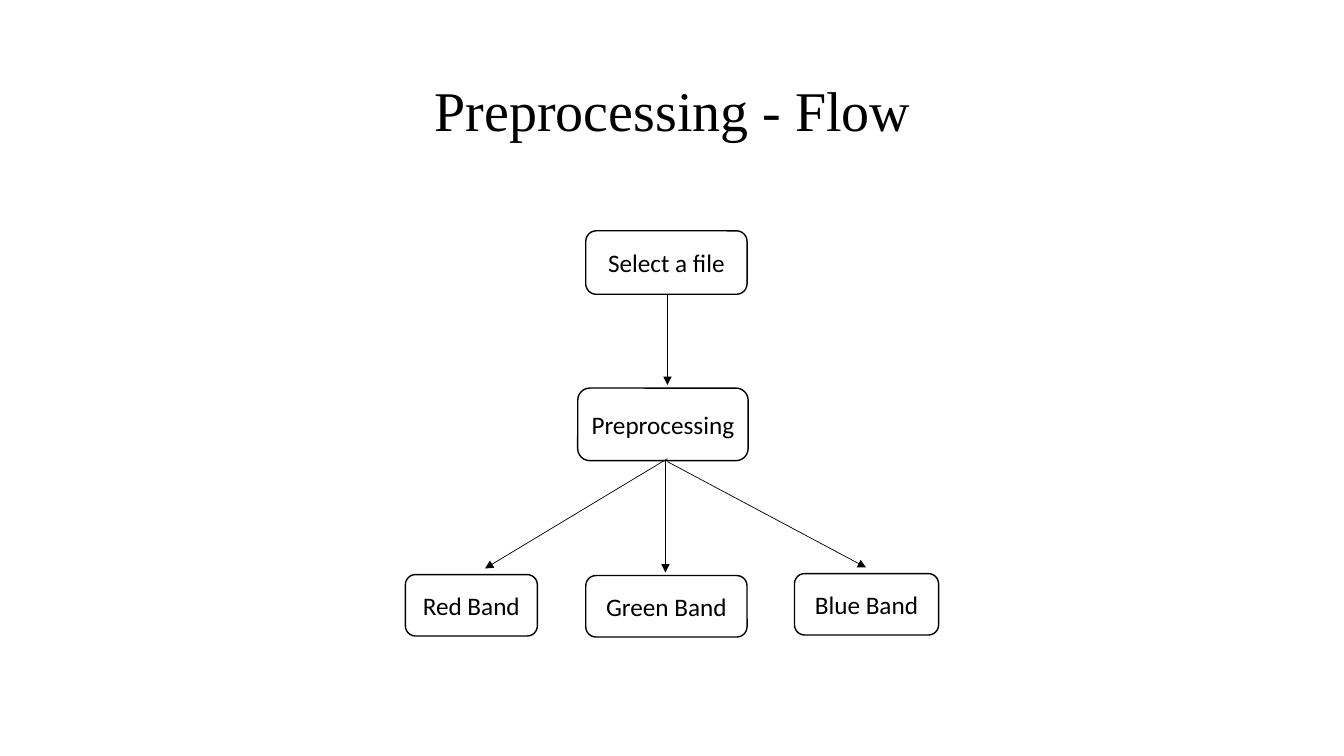
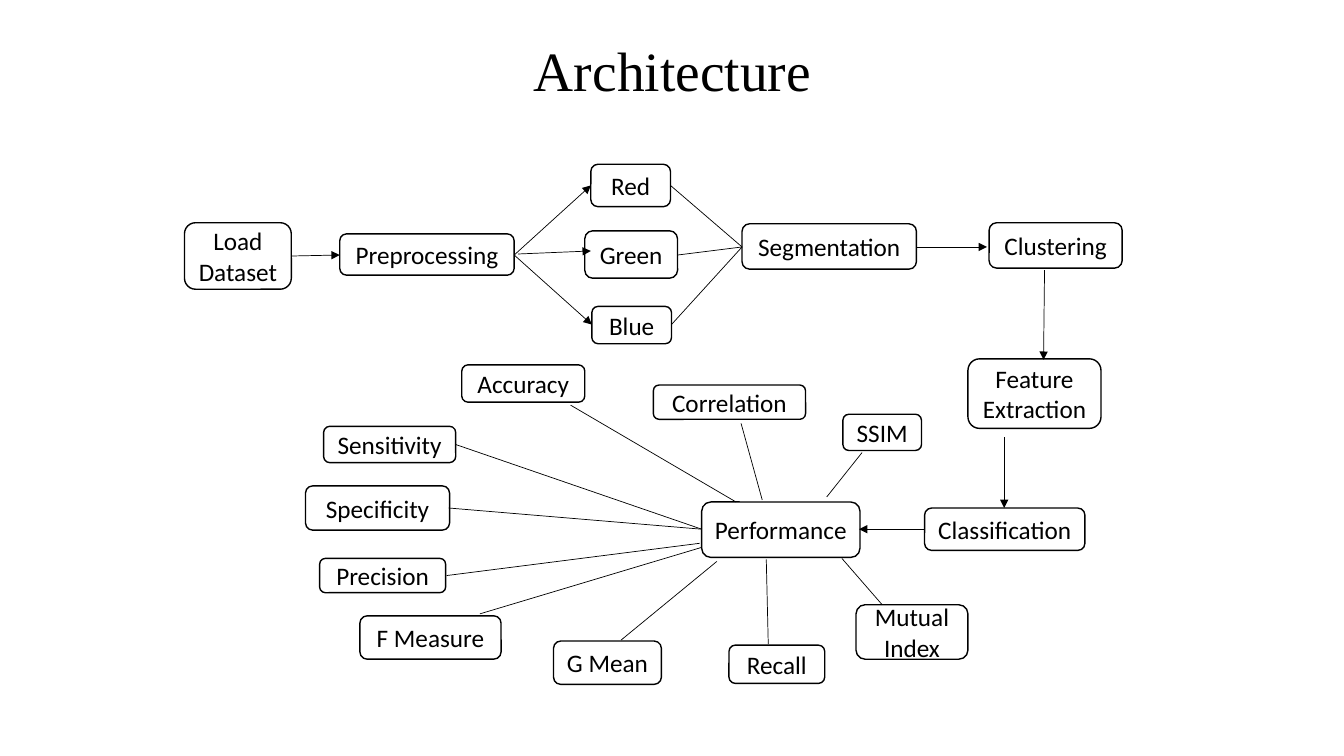
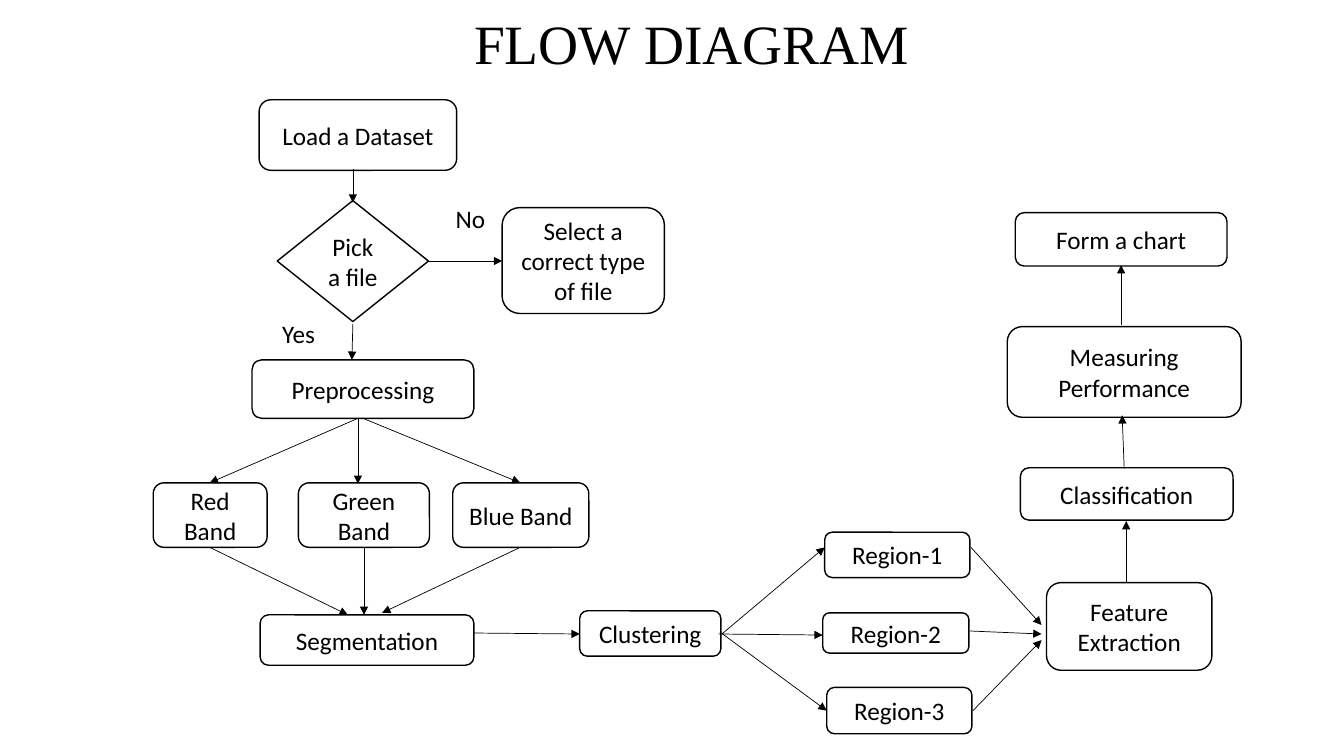
from lxml import etree
from pptx import Presentation
from pptx.dml.color import RGBColor
from pptx.enum.shapes import MSO_CONNECTOR, MSO_SHAPE
from pptx.enum.text import MSO_ANCHOR, MSO_AUTO_SIZE, PP_ALIGN
from pptx.oxml.ns import qn
from pptx.util import Inches, Pt

ROUNDED = MSO_SHAPE.ROUNDED_RECTANGLE
DIAMOND = MSO_SHAPE.DIAMOND
RECTANGLE = MSO_SHAPE.RECTANGLE
STRAIGHT = MSO_CONNECTOR.STRAIGHT
MIDDLE, TOP = MSO_ANCHOR.MIDDLE, MSO_ANCHOR.TOP
CENTER, LEFT = PP_ALIGN.CENTER, PP_ALIGN.LEFT
NO_AUTOFIT = MSO_AUTO_SIZE.NONE

BLACK, WHITE = "000000", "FFFFFF"
TITLE_FONT, BODY_FONT = "Times New Roman", "Calibri"
TITLE_LAYOUT = 5


def color(value):
    return RGBColor.from_string(value)


def write(frame, text, font, size, align, anchor):
    frame.auto_size = NO_AUTOFIT
    frame.vertical_anchor = anchor
    para = frame.paragraphs[0]
    para.alignment = align
    span = para.add_run()
    span.text = text
    span.font.name = font
    span.font.size = Pt(size)
    span.font.color.rgb = color(BLACK)


preprocessing = {
    "title": ("Preprocessing - Flow", 40, 0.92, 0.4, 1.45),
    "steps": [
        ("Select a file", 5.81, 2.29, 1.6, 0.63),
        ("Preprocessing", 5.73, 3.85, 1.69, 0.72),
        ("Red Band", 4.02, 5.7, 1.31, 0.61),
        ("Green Band", 5.81, 5.71, 1.6, 0.61),
        ("Blue Band", 7.88, 5.69, 1.43, 0.61),
    ],
    "arrows": [
        (6.62, 2.92, 6.62, 3.82),
        (6.62, 4.55, 4.81, 5.64),
        (6.6, 4.57, 6.6, 5.68),
        (6.62, 4.58, 8.59, 5.63),
    ],
    "links": [],
    "labels": [],
}

architecture = {
    "title": ("Architecture", 39.6, 0.92, 0.4, 0.66),
    "steps": [
        ("Load Dataset", 1.83, 2.21, 1.06, 0.66),
        ("Preprocessing", 3.37, 2.32, 1.73, 0.41),
        ("Red", 5.86, 1.63, 0.79, 0.42),
        ("Green", 5.8, 2.29, 0.92, 0.47),
        ("Blue", 5.87, 3.04, 0.79, 0.37),
        ("Segmentation", 7.36, 2.22, 1.73, 0.45),
        ("Clustering", 9.81, 2.21, 1.32, 0.45),
        ("Feature Extraction", 9.6, 3.56, 1.32, 0.69),
        ("Classification", 9.17, 5.04, 1.59, 0.42),
        ("Performance", 6.96, 4.98, 1.57, 0.55),
        ("Accuracy", 4.58, 3.62, 1.22, 0.37),
        ("Sensitivity", 3.21, 4.23, 1.31, 0.36),
        ("Specificity", 3.03, 4.82, 1.43, 0.44),
        ("Precision", 3.17, 5.54, 1.25, 0.34),
        ("Recall", 7.23, 6.4, 0.95, 0.38),
        ("F Measure", 3.57, 6.11, 1.4, 0.43),
        ("G Mean", 5.49, 6.36, 1.07, 0.43),
        ("Mutual Index", 8.49, 6, 1.11, 0.54),
        ("Correlation", 6.48, 3.82, 1.51, 0.34),
        ("SSIM", 8.36, 4.11, 0.78, 0.36),
    ],
    "arrows": [
        (2.89, 2.54, 3.37, 2.53),
        (5.14, 2.52, 5.86, 2.49),
        (5.1, 2.53, 5.87, 3.22),
        (5.1, 2.53, 5.86, 1.84),
        (9.09, 2.45, 9.79, 2.45),
        (10.36, 2.68, 10.35, 3.57),
        (9.96, 4.34, 9.96, 5.04),
        (9.17, 5.25, 8.52, 5.25),
    ],
    "links": [
        (6.65, 1.84, 7.36, 2.45),
        (6.72, 2.53, 7.36, 2.45),
        (6.66, 3.22, 7.36, 2.45),
        (4.52, 4.41, 6.96, 5.25),
        (4.45, 5.04, 6.96, 5.25),
        (4.43, 5.71, 6.94, 5.39),
        (5.66, 4.02, 7.3, 4.98),
        (7.35, 4.2, 7.56, 4.96),
        (8.55, 4.49, 8.2, 4.93),
        (4.76, 6.09, 6.96, 5.43),
        (6.16, 6.35, 7.11, 5.57),
        (7.62, 6.39, 7.6, 5.55),
        (8.35, 5.54, 8.75, 6),
    ],
    "labels": [],
}

flow_diagram = {
    "title": ("FLOW DIAGRAM", 39.6, 1.11, 0.13, 0.66),
    "steps": [
        ("Load a Dataset", 2.57, 0.99, 1.96, 0.7),
        ("Pick a file", 2.75, 1.99, 1.5, 1.2),
        ("Preprocessing", 2.5, 3.57, 2.2, 0.58),
        ("Select a correct type of file", 4.98, 2.06, 1.61, 1.05),
        ("Red Band", 1.52, 4.79, 1.13, 0.64),
        ("Green Band", 2.96, 4.79, 1.3, 0.64),
        ("Blue Band", 4.49, 4.79, 1.35, 0.64),
        ("Segmentation", 2.58, 6.1, 2.12, 0.5),
        ("Clustering", 5.75, 6.06, 1.4, 0.45),
        ("Region-1", 8.18, 5.28, 1.44, 0.45),
        ("Region-2", 8.16, 6.08, 1.45, 0.4),
        ("Region-3", 8.2, 6.82, 1.44, 0.46),
        ("Feature Extraction", 10.38, 5.78, 1.64, 0.87),
        ("Classification", 10.12, 4.64, 2.11, 0.52),
        ("Measuring Performance", 9.99, 3.24, 2.32, 0.9),
        ("Form a chart", 10.07, 2.11, 2.1, 0.53),
    ],
    "arrows": [
        (3.5, 1.68, 3.5, 2.01),
        (3.5, 3.21, 3.49, 3.57),
        (4.25, 2.59, 4.98, 2.59),
        (3.55, 4.15, 2.08, 4.79),
        (3.55, 4.15, 3.55, 4.8),
        (3.6, 4.15, 5.16, 4.79),
        (2.08, 5.43, 3.45, 6.1),
        (3.61, 5.43, 3.61, 6.1),
        (5.16, 5.43, 3.79, 6.08),
        (4.7, 6.28, 5.75, 6.29),
        (7.16, 6.29, 8.18, 5.43),
        (7.13, 6.29, 8.16, 6.3),
        (7.14, 6.27, 8.2, 7.05),
        (9.63, 5.43, 10.33, 6.2),
        (9.62, 6.26, 10.33, 6.29),
        (9.65, 7.05, 10.33, 6.35),
        (11.17, 5.78, 11.17, 5.17),
        (11.15, 4.65, 11.13, 4.12),
        (11.12, 3.22, 11.12, 2.63),
    ],
    "links": [],
    "labels": [
        ("Yes", 2.7, 3.11, 0.53, 0.4),
        ("No", 4.42, 1.97, 0.51, 0.4),
    ],
}

deck = Presentation()
deck.slide_width, deck.slide_height = Inches(13.33), Inches(7.5)

for diagram in (preprocessing, architecture, flow_diagram):
    page = deck.slides.add_slide(deck.slide_layouts[TITLE_LAYOUT])
    text, size, left, top, height = diagram["title"]
    title = page.shapes.title
    title.left, title.top = Inches(left), Inches(top)
    title.width, title.height = Inches(11.5), Inches(height)
    write(title.text_frame, text, TITLE_FONT, size, CENTER, MIDDLE)
    title.text_frame.paragraphs[0].line_spacing = 0.9

    for text, *place in diagram["steps"] + diagram["labels"]:
        is_label = text in ("Yes", "No")
        kind = RECTANGLE if is_label else DIAMOND if text == "Pick a file" else ROUNDED
        box = page.shapes.add_shape(kind, *map(Inches, place))
        box.shadow.inherit = False
        box.fill.solid()
        box.fill.fore_color.rgb = color(WHITE)
        box.line.color.rgb = color(WHITE if is_label else BLACK)
        box.line.width = Pt(0.75 if is_label else 1)
        box.text_frame.word_wrap = not is_label
        align, anchor = (LEFT, TOP) if is_label else (CENTER, MIDDLE)
        write(box.text_frame, text, BODY_FONT, 18, align, anchor)

    for ends in diagram["arrows"] + diagram["links"]:
        line = page.shapes.add_connector(STRAIGHT, *map(Inches, ends))
        line.line.color.rgb = color(BLACK)
        line.line.width = Pt(0.5)
        if ends in diagram["arrows"]:
            etree.SubElement(line.line._get_or_add_ln(), qn("a:tailEnd"), type="triangle")
        etree.SubElement(line._element.spPr, qn("a:effectLst"))

deck.save("out.pptx")
